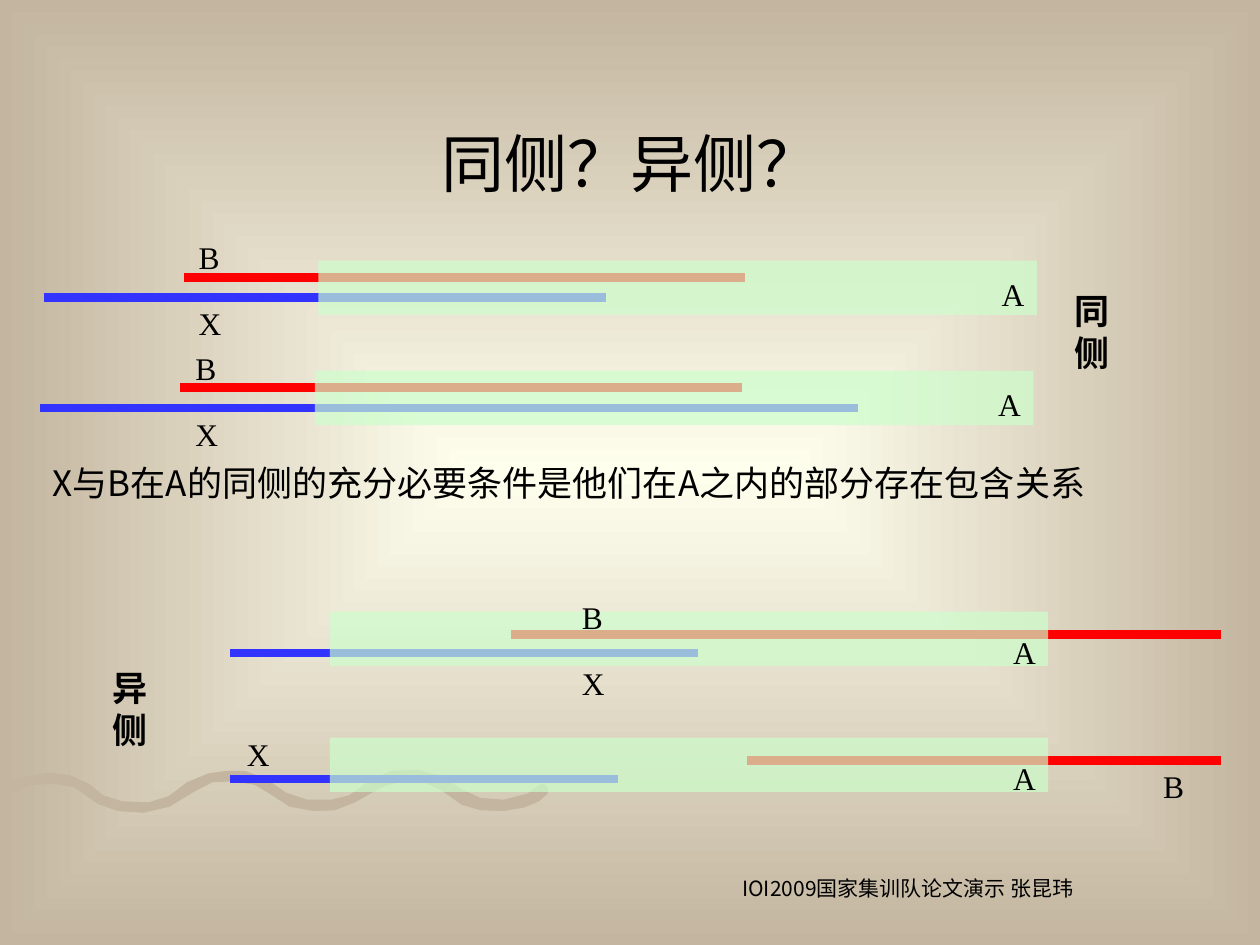
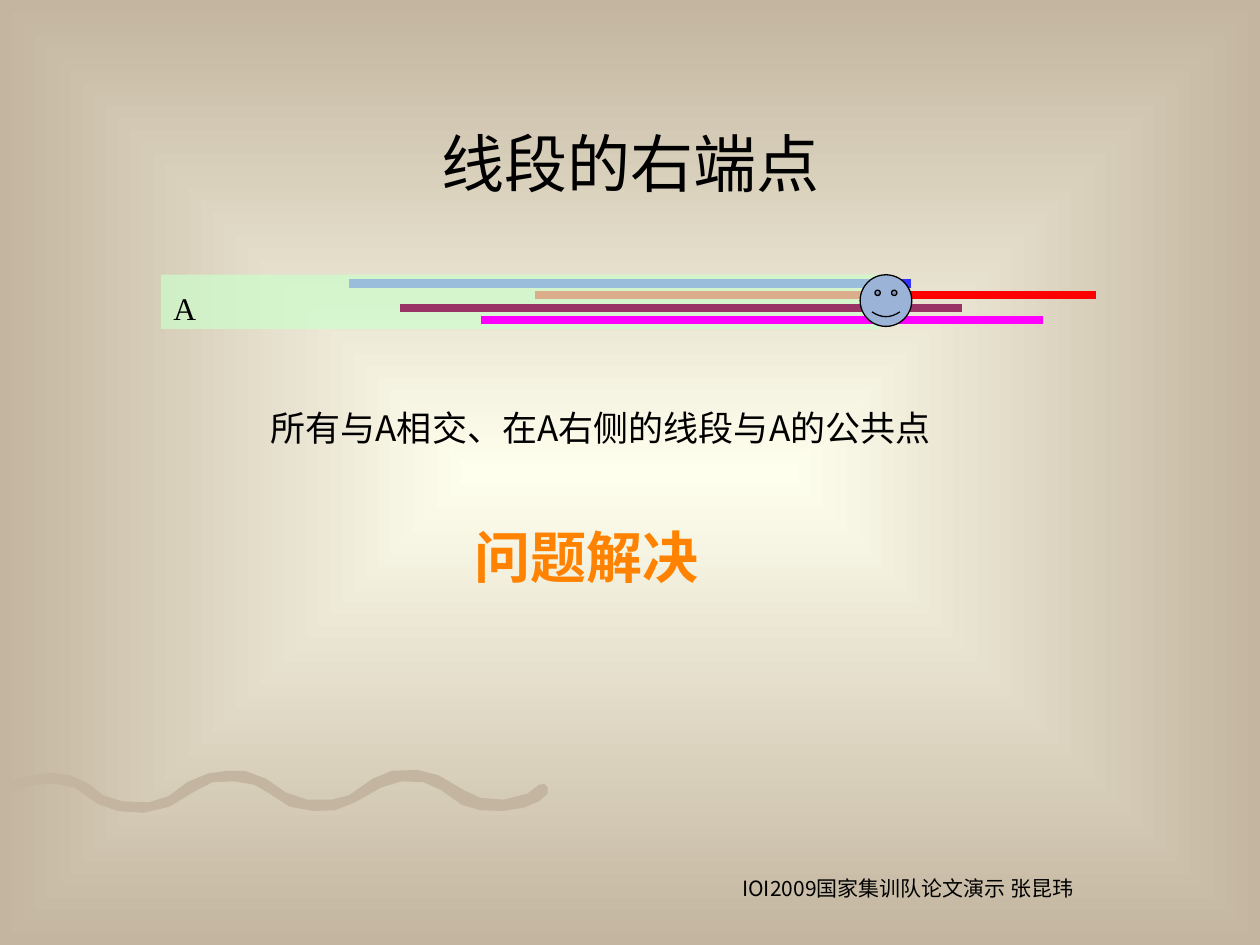
from lxml import etree
from pptx import Presentation
from pptx import util as u
from pptx.dml.color import RGBColor
from pptx.enum import shapes, text
from pptx.oxml.ns import qn

COLORS = {
    "centre": "FFFFEE", "edge": "C3B59F", "text": "000000",
    "blue": "3333FF", "red": "FF0000", "plum": "993366", "magenta": "FF00FF",
    "strip": "CCFFCC", "smiley": "9CB3D8", "solved": "FF8200",
}
SANS, SERIF = "Noto Sans CJK SC", "Times New Roman"
FOOTER = "IOI2009国家集训队论文演示 张昆玮"
BAR_WIDTH = 4.75
STRIP_SIZE = (410.5, 31)
STRIP_OPACITY = 68

# Outline of the wave at the lower left, in points
WAVE = [
    (1, 452), (9, 445.5), (18, 443), (28, 441.5), (40, 443), (51, 448),
    (59, 454.5), (70, 458), (85, 458.5), (96.5, 455), (107, 447), (119, 442),
    (130, 440.5), (140, 440.5), (152, 445), (163.5, 453), (175.5, 457),
    (189.5, 457), (199.5, 454.5), (213, 445), (224, 440.5), (238.5, 440),
    (250.5, 443), (265, 451.5), (274.5, 456), (288, 457), (301.5, 453.5),
    (308, 448.5), (311, 448), (313, 450), (313, 453.5), (308, 458),
    (299.5, 461.5), (287.5, 463.5), (274.5, 463), (264, 460), (252, 451.5),
    (242, 447), (229.5, 446.5), (218, 450), (203, 458.5), (191.5, 463),
    (179.5, 463.5), (165.5, 461), (154, 453.5), (145.5, 448.5), (134, 446.5),
    (121.5, 447), (110, 453), (97, 461), (82, 464.5), (67.5, 463.5),
    (56, 459.5), (42.5, 450), (31.5, 448), (18, 448.5), (7, 453.5), (0, 460),
]

# Bars are (colour, start x, end x, y); "over" bars lie in front of the strip.
# Labels and notes are (lines, left, top, width, height).
SLIDES = [
    {
        "title": "同侧？异侧？",
        "segments": [
            {"strip": (182, 149), "align": "RIGHT", "anchor": "MIDDLE",
             "under": [("blue", 25, 346.5, 170), ("red", 105, 426, 158.5)]},
            {"strip": (180, 212), "align": "RIGHT", "anchor": "MIDDLE",
             "under": [("blue", 23, 490.5, 233), ("red", 103, 424, 221.5)]},
            {"strip": (188.5, 349.5), "align": "RIGHT", "anchor": "TOP",
             "under": [("blue", 131.5, 399, 373), ("red", 292, 698, 362.5)]},
            {"strip": (188.5, 421.5), "align": "RIGHT", "anchor": "TOP",
             "under": [("blue", 131.5, 353, 445), ("red", 427, 698, 434.5)]},
        ],
        "labels": [
            (["B", "X"], 106.5, 116.5, 27.5, 83),
            (["B", "X"], 104.5, 179.5, 27.5, 83),
            (["B", "X"], 325.5, 322, 27.5, 83),
            (["X"], 134, 400.5, 27.5, 45),
            (["B"], 657.5, 418.5, 26.5, 45),
        ],
        "sides": [("同侧", 607, 162), ("异侧", 57, 377.5)],
        "notes": [
            (["X与B在A的同侧的充分必要条件是他们在A之内的部分存在包含关系"],
             23, 260, 654.5, 76, {}),
        ],
    },
    {
        "title": "线段的右端点",
        "segments": [
            {"strip": (92, 157), "align": "LEFT", "anchor": "MIDDLE",
             "under": [("blue", 199.5, 520.5, 162), ("red", 305.5, 626.5, 168.5)],
             "over": [("plum", 228.5, 549.5, 176), ("magenta", 275, 596, 183)]},
        ],
        "smiley": (491.5, 157, 29.5, 29.5),
        "notes": [
            (["所有与A相交、在A右侧的线段与A的公共点"], 147.5, 229, 431.5, 31.5, {}),
            (["问题解决"], 264, 295, 227.5, 126,
             {"size": 32, "bold": True, "color": "solved"}),
        ],
    },
]


def points(values):
    return [u.Pt(value) for value in values]


def rgb(name):
    return RGBColor.from_string(COLORS[name])


def write(shape, lines, size=20, latin=SANS, color="text", bold=False,
          align="LEFT", anchor="TOP", spacing=None, wrap=False, top_inset=3.6):
    frame = shape.text_frame
    frame.word_wrap = wrap
    frame.auto_size = text.MSO_AUTO_SIZE.NONE
    frame.vertical_anchor = text.MSO_ANCHOR[anchor]
    frame.margin_left = frame.margin_right = u.Pt(7.2)
    frame.margin_top, frame.margin_bottom = u.Pt(top_inset), u.Pt(3.6)
    for index, line in enumerate(lines):
        paragraph = frame.add_paragraph() if index else frame.paragraphs[0]
        paragraph.alignment = text.PP_ALIGN[align]
        if spacing:
            paragraph.line_spacing = spacing
        run = paragraph.add_run()
        run.text = line
        run.font.size, run.font.bold = u.Pt(size), bold
        run.font.color.rgb = rgb(color)
        run.font.name = latin
        east_asian = etree.SubElement(run._r.get_or_add_rPr(), qn("a:ea"))
        east_asian.set("typeface", SANS)


def add_text(slide, lines, box, **style):
    write(slide.shapes.add_textbox(*points(box)), lines, **style)


def add_bar(slide, color, start, end, y):
    ends = points((start, y, end, y))
    bar = slide.shapes.add_connector(shapes.MSO_CONNECTOR.STRAIGHT, *ends)
    bar.line.color.rgb = rgb(color)
    bar.line.width = u.Pt(BAR_WIDTH)
    etree.SubElement(bar._element.spPr, qn("a:effectLst"))


def add_strip(slide, position, align, anchor):
    """Draw the translucent interval A."""
    strip = slide.shapes.add_shape(
        shapes.MSO_SHAPE.RECTANGLE, *points(position + STRIP_SIZE))
    strip.shadow.inherit = False
    strip.fill.solid()
    strip.fill.fore_color.rgb = rgb("strip")
    strip.line.fill.background()
    color = strip._element.spPr.find(f"{qn('a:solidFill')}/{qn('a:srgbClr')}")
    etree.SubElement(color, qn("a:alpha")).set("val", str(STRIP_OPACITY * 1000))
    write(strip, ["A"], size=18, latin=SERIF, align=align, anchor=anchor,
          spacing=1.3, top_inset=5.8 if anchor == "TOP" else 3.6)


def add_smiley(slide, box):
    smiley = slide.shapes.add_shape(shapes.MSO_SHAPE.SMILEY_FACE, *points(box))
    smiley.shadow.inherit = False
    smiley.fill.solid()
    smiley.fill.fore_color.rgb = rgb("smiley")
    smiley.line.color.rgb = rgb("text")
    smiley.line.width = u.Pt(0.75)


def add_wave(slide):
    start, *rest = [points(point) for point in WAVE]
    builder = slide.shapes.build_freeform(*start)
    builder.add_line_segments(rest, close=True)
    wave = builder.convert_to_shape()
    wave.shadow.inherit = False
    wave.fill.solid()
    wave.fill.fore_color.rgb = rgb("edge")
    wave.line.fill.background()


def set_background(master):
    """Give the master a gradient that spreads from the centre to the edges."""
    fill = master.background.fill
    fill.gradient()
    for stop, name in zip(fill.gradient_stops, ("centre", "edge")):
        stop.color.rgb = rgb(name)
    gradient = master.element.find(f".//{qn('p:bg')}//{qn('a:gradFill')}")
    linear = gradient.find(qn("a:lin"))
    spread = etree.Element(qn("a:path"), path="rect")
    centre = etree.SubElement(spread, qn("a:fillToRect"))
    for side in "ltrb":
        centre.set(side, "50000")
    gradient.replace(linear, spread)


def add_slide(presentation, content):
    slide = presentation.slides.add_slide(presentation.slide_layouts[5])
    add_wave(slide)
    title = slide.shapes.title
    title.left, title.top, title.width, title.height = points((54, 48, 612, 90))
    write(title, [content["title"]], size=36, align="CENTER", anchor="MIDDLE",
          wrap=True)
    for segment in content["segments"]:
        for bar in segment["under"]:
            add_bar(slide, *bar)
        add_strip(slide, segment["strip"], segment["align"], segment["anchor"])
        for bar in segment.get("over", []):
            add_bar(slide, *bar)
    for lines, *box in content.get("labels", []):
        add_text(slide, lines, box, size=18, latin=SERIF, spacing=1.75)
    for side, left, top in content.get("sides", []):
        add_text(slide, [side], (left, top, 29.5, 55.5), latin=SERIF, bold=True,
                 wrap=True)
    if "smiley" in content:
        add_smiley(slide, content["smiley"])
    for lines, *box, style in content["notes"]:
        add_text(slide, lines, box, **style)
    add_text(slide, [FOOTER], (354, 497, 266.5, 31), size=12, align="RIGHT",
             wrap=True)


def main():
    presentation = Presentation()
    presentation.slide_width, presentation.slide_height = points((720, 540))
    set_background(presentation.slide_master)
    for content in SLIDES:
        add_slide(presentation, content)
    presentation.save("out.pptx")


if __name__ == "__main__":
    main()
